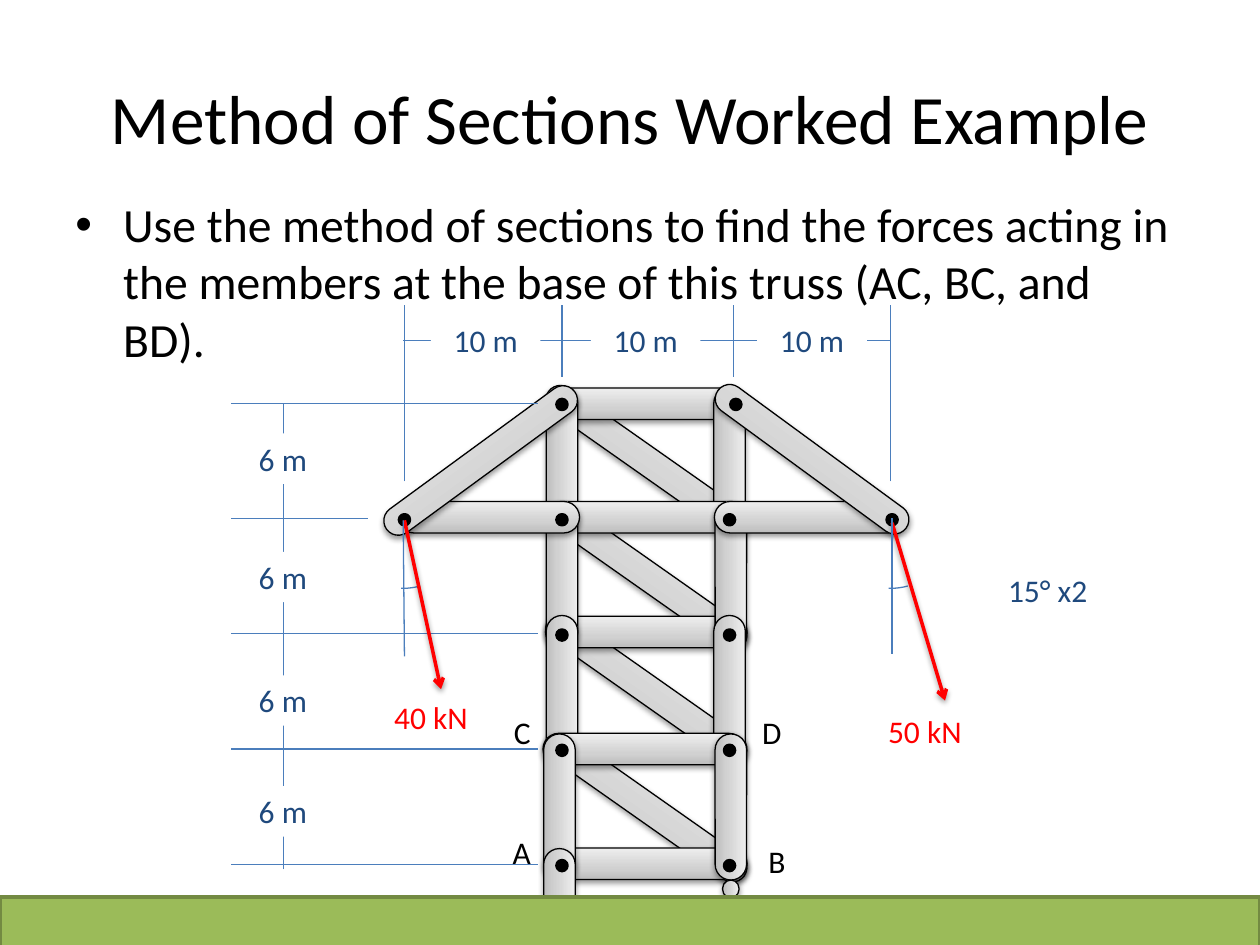
from copy import deepcopy
from typing import NamedTuple

from lxml.etree import SubElement
from pptx import Presentation
from pptx.dml.color import RGBColor
from pptx.enum.shapes import MSO_CONNECTOR as Connector, MSO_SHAPE as Shape
from pptx.enum.text import MSO_ANCHOR as Anchor, PP_ALIGN as Align
from pptx.oxml.ns import qn
from pptx.util import Inches, Pt

FONT = "Calibri"
BLACK, WHITE, RED = "000000", "FFFFFF", "FF0000"
DIMENSION_BLUE, LABEL_BLUE = "4B7EBC", "1F497D"
STEEL = ((0, "BDBDBD"), (0.35, "D1D1D1"), (1, "EEEEEE"))
LABEL_HEIGHT = 0.4
BAR = 0.25
DIAGONAL = 0.23
POST = 1.16
LEVELS = [3.21 + 0.915 * i for i in range(5)]  # joint heights, top to base


class Member(NamedTuple):
    left: float
    top: float
    length: float
    rotation: float = 0
    thickness: float = BAR


class Line(NamedTuple):
    x1: float
    y1: float
    x2: float
    y2: float


class Label(NamedTuple):
    text: str
    left: float
    top: float
    width: float
    color: str = LABEL_BLUE
    align: Align = Align.CENTER


class Force(NamedTuple):
    line: Line
    label: Label


# Members from back to front
MEMBERS = [
    *(Member(4.18, top, 1.9, 35.1, DIAGONAL) for top in (4.45, 3.54, 5.35, 6.29)),
    Member(4.33, 6.73, 1.6),
    Member(4.33, 3.08, 1.59),
    Member(3.88, 3.53, POST, 90),
    Member(5.21, 3.53, POST, 90),
    Member(4.33, 3.98, 1.6),
    Member(4.33, 4.89, 1.6),
    Member(3.88, 4.44, POST, 90),
    Member(5.22, 4.44, POST, 90),
    Member(5.21, 5.34, POST, 90),
    Member(3.88, 5.34, POST, 90),
    Member(4.31, 5.82, 1.6),
    Member(3.86, 6.28, POST, 90),
    Member(5.22, 6.28, POST, 90),
    Member(3.16, 3.98, 1.44),
    Member(5.67, 3.98, 1.5),
    Member(5.52, 3.53, 1.85, 36.2, DIAGONAL),
    Member(3.86, 7.19, POST, 90),
    Member(5.73, 6.99, 0.14, 90, 0.13),
    Member(2.89, 3.54, 1.85, 323.8, DIAGONAL),
]

JOINTS = [
    *((4.46, level) for level in LEVELS),
    (5.84, LEVELS[0]),
    *((5.79, level) for level in LEVELS[1:]),
    (7.08, LEVELS[1]),
    (3.21, LEVELS[1]),
]

DIMENSION_LINES = [
    *(Line(2.92 if i == 1 else 4.27, level - 0.01, 1.83, level - 0.01)
      for i, level in enumerate(LEVELS)),
    Line(2.25, 6.9, 2.25, 3.21),
    *(Line(x, bottom, x, 2.42)
      for x, bottom in ((3.21, 3.82), (4.46, 2.99), (5.82, 2.99), (7.07, 3.82))),
    Line(7.07, 2.7, 3.2, 2.7),
]
ANGLE_LINES = [Line(3.21, 5.21, 3.2, 4.13), Line(7.08, 5.19, 7.08, 4.11)]

DIMENSION_LABELS = [
    *(Label("6 m", 1.81, top, 0.87) for top in (3.44, 4.38, 5.36, 6.24)),
    *(Label("10 m", left, 2.5, 0.87) for left in (3.42, 4.69, 6.01)),
]
FORCES = [
    Force(Line(3.21, 4.13, 3.5, 5.47), Label("40 kN", 3.03, 5.49, 0.93, RED, Align.LEFT)),
    Force(Line(7.08, 4.15, 7.5, 5.56), Label("50 kN", 6.95, 5.6, 0.93, RED, Align.LEFT)),
]
NOTES = [
    Label("15° x2", 7.88, 4.48, 0.87),
    *(Label(name, left, top, 0.35, BLACK, Align.LEFT)
      for name, left, top in (("A", 3.97, 6.56), ("B", 6, 6.63),
                              ("C", 3.98, 5.61), ("D", 5.95, 5.61))),
]


def rgb(color: str) -> RGBColor:
    return RGBColor.from_string(color)


def add_drop_shadow(effects) -> None:
    shadow = SubElement(effects, qn("a:outerShdw"), blurRad="40000", dist="20000",
                        dir="5400000", rotWithShape="0")
    color = SubElement(shadow, qn("a:srgbClr"), val=BLACK)
    SubElement(color, qn("a:alpha"), val="38000")


def add_run(paragraph, text: str, size: float, color: str) -> None:
    run = paragraph.add_run()
    run.text = text
    run.font.name, run.font.size = FONT, Pt(size)
    run.font.color.rgb = rgb(color)


def add_shape(slide, kind, left: float, top: float, width: float, height: float,
              fill: str | None, line: str | None, weight: float = 0.75):
    shape = slide.shapes.add_shape(kind, Inches(left), Inches(top), Inches(width), Inches(height))
    shape.shadow.inherit = False
    if fill:
        shape.fill.solid()
        shape.fill.fore_color.rgb = rgb(fill)
    else:
        shape.fill.background()
    if line:
        shape.line.color.rgb = rgb(line)
        shape.line.width = Pt(weight)
    else:
        shape.line.fill.background()
    return shape


def add_member(slide, member: Member) -> None:
    shape = add_shape(slide, Shape.ROUNDED_RECTANGLE, member.left, member.top,
                      member.length, member.thickness, None, BLACK)
    shape.adjustments[0] = 0.5
    shape.rotation = member.rotation
    shape.fill.gradient()
    shape.fill.gradient_angle = 90
    properties = shape._element.spPr
    stops = properties.find(".//" + qn("a:gsLst"))
    stops.append(deepcopy(stops[0]))
    for stop, (position, color) in zip(shape.fill.gradient_stops, STEEL):
        stop.position = position
        stop.color.rgb = rgb(color)
    add_drop_shadow(properties.find(qn("a:effectLst")))


def add_line(slide, line: Line, color: str = DIMENSION_BLUE, weight: float = 0.75,
             arrow: bool = False) -> None:
    connector = slide.shapes.add_connector(Connector.STRAIGHT, *(Inches(value) for value in line))
    connector.line.color.rgb = rgb(color)
    connector.line.width = Pt(weight)
    properties = connector._element.spPr
    effects = SubElement(properties, qn("a:effectLst"))
    if arrow:
        SubElement(properties.find(qn("a:ln")), qn("a:tailEnd"), type="arrow")
        add_drop_shadow(effects)


def add_label(slide, label: Label, fill: str | None = None) -> None:
    box = slide.shapes.add_textbox(Inches(label.left), Inches(label.top),
                                   Inches(label.width), Inches(LABEL_HEIGHT))
    if fill:
        box.fill.solid()
        box.fill.fore_color.rgb = rgb(fill)
    box.text_frame.word_wrap = True
    paragraph = box.text_frame.paragraphs[0]
    paragraph.alignment = label.align
    add_run(paragraph, label.text, 18, label.color)


def add_heading(slide) -> None:
    title = slide.shapes.title
    title.left, title.top, title.width, title.height = map(Inches, (0.5, 0.3, 9, 1.25))
    title.text_frame.vertical_anchor = Anchor.MIDDLE
    paragraph = title.text_frame.paragraphs[0]
    paragraph.alignment = Align.CENTER
    add_run(paragraph, "Method of Sections Worked Example", 39.6, BLACK)


def add_task(slide) -> None:
    box = slide.shapes.add_textbox(Inches(0.5), Inches(1.5), Inches(9), Inches(0.83))
    box.text_frame.word_wrap = True
    paragraph = box.text_frame.paragraphs[0]
    properties = paragraph._p.get_or_add_pPr()
    properties.set("marL", str(Inches(0.38)))
    properties.set("indent", str(-Inches(0.38)))
    SubElement(properties, qn("a:buFont"), typeface="Arial")
    SubElement(properties, qn("a:buChar"), char="•")
    add_run(paragraph, "Use the method of sections to find the forces acting in "
            "the members at the base of this truss (AC, BC, and BD).", 27.2, BLACK)


def main() -> None:
    presentation = Presentation()
    presentation.slide_width, presentation.slide_height = Inches(10), Inches(7.5)
    slide = presentation.slides.add_slide(presentation.slide_layouts[5])
    add_heading(slide)
    add_task(slide)

    # Angle marks at the loaded joints
    for left in (2.7, 6.57):
        arc = add_shape(slide, Shape.ARC, left, 3.67, 1, 1, None, DIMENSION_BLUE)
        arc.adjustments[0], arc.adjustments[1] = 44.58, 55.09

    # Truss, ground and joints
    for member in MEMBERS:
        add_member(slide, member)
    add_shape(slide, Shape.RECTANGLE, 0, 7.12, 10, 0.77, "9BBB59", "738A42", 2)
    for x, y in JOINTS:
        add_shape(slide, Shape.OVAL, x - 0.04, y - 0.04, 0.08, 0.08, BLACK, BLACK, 2)

    # Dimensions, with labels that interrupt their lines
    for line in DIMENSION_LINES:
        add_line(slide, line)
    for label in DIMENSION_LABELS:
        add_label(slide, label, WHITE)

    # Loads and notes
    for force in FORCES:
        add_line(slide, force.line, RED, 2, arrow=True)
        add_label(slide, force.label)
    for line in ANGLE_LINES:
        add_line(slide, line)
    for label in NOTES:
        add_label(slide, label)

    presentation.save("out.pptx")


if __name__ == "__main__":
    main()
